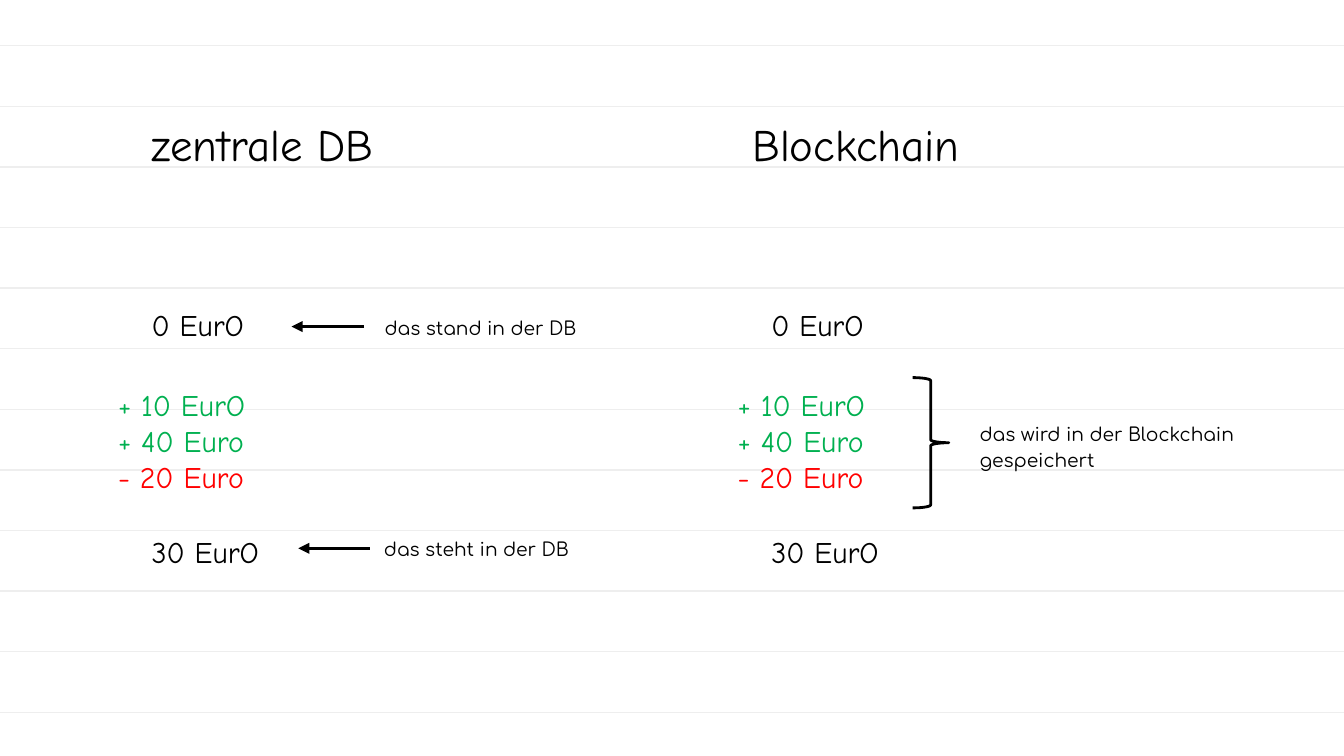
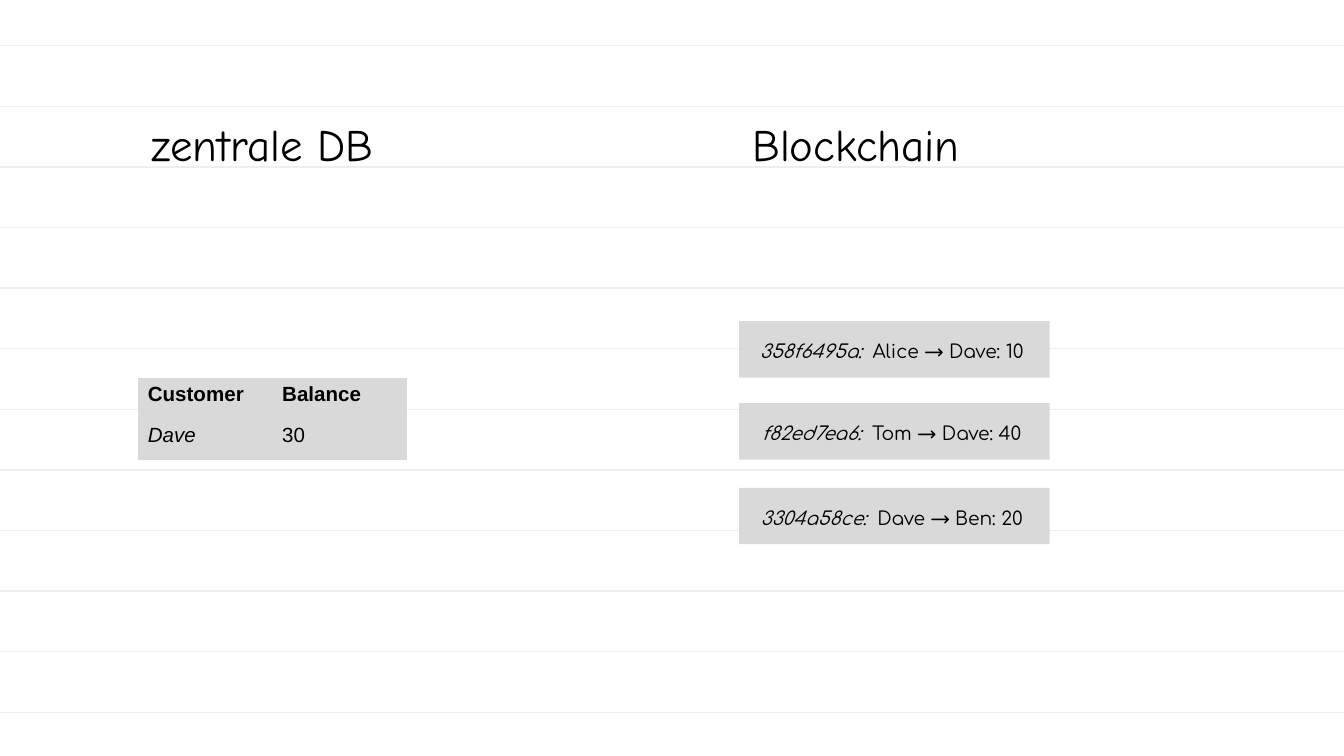
import pptx
import pptx.dml.color
import pptx.enum.shapes
import pptx.enum.text
import pptx.util
from pptx.oxml.ns import qn
from lxml import etree

BLACK, GREEN, RED, RULE, GRAY = "000000", "00B050", "FF0000", "EEEEEE", "D9D9D9"
HAND, NOTE, TABLE_FONT = "Comic Neue", "Comfortaa", "Arial"

WIDTH = 10
HEIGHT = WIDTH * 9 / 16
RULE_COUNT, FIRST_RULE, LAST_RULE = 12, 0.34, 5.3
LEFT, RIGHT = 1.03, 5.5
BOX_W, BOX_H = 3.19, 0.8
INSET = 0.1

HEADINGS = ["zentrale DB", "Blockchain"]

# Account history, shown once per column: (indent, top, [(text, colour)])
ACCOUNT_LEFTS = [LEFT, 5.64]
ACCOUNT = [
    (0, 1.85, [("0 EurO", BLACK)]),
    (-0.25, 2.98, [("+ 10 EurO", GREEN), ("+ 40 Euro", GREEN), ("- 20 Euro", RED)]),
    (0, 3.54, [("30 EurO", BLACK)]),
]
# (text, note left, note top, arrow start, arrow end)
DB_NOTES = [
    ("das steht in der DB", 2.73, 3.88, 2.75, 2.22),
    ("das stand in der DB", 2.76, 2.23, 2.71, 2.17),
]
CHAIN_NOTE = "das wird in der Blockchain gespeichert"

BALANCES = [["Customer", "Balance"], ["Dave", "30"]]
# (hash, sender, receiver and amount, top)
TRANSACTIONS = [
    ("358f6495a:  ", "Alice ", " Dave: 10 ", 2.39),
    ("f82ed7ea6:  ", "Tom ", " Dave: 40 ", 3),
    ("3304a58ce:  ", "Dave ", " Ben: 20 ", 3.63),
]

ALIGN = pptx.enum.text.PP_ALIGN
ANCHOR = pptx.enum.text.MSO_ANCHOR
SHAPE = pptx.enum.shapes.MSO_SHAPE


def rgb(color):
    return pptx.dml.color.RGBColor.from_string(color)


def inches(*lengths):
    return [pptx.util.Inches(n) for n in lengths]


def style_run(r, font, size, color=BLACK, bold=False, italic=False):
    r.font.name, r.font.size = font, pptx.util.Pt(size)
    r.font.bold, r.font.italic = bold, italic
    r.font.color.rgb = rgb(color)


def set_frame(tf, anchor):
    tf.word_wrap = True
    tf.auto_size = pptx.enum.text.MSO_AUTO_SIZE.NONE
    tf.vertical_anchor = anchor
    tf.margin_left, tf.margin_top, tf.margin_right, tf.margin_bottom = inches(*[INSET] * 4)


def set_note_paragraph(p, align):
    p.alignment, p.line_spacing, p.space_after = align, 1.15, pptx.util.Pt(16)


def write_lines(sp, lines, size):
    """Fill a box with handwritten (text, colour) lines, standing on its bottom edge."""
    tf = sp.text_frame
    set_frame(tf, ANCHOR.BOTTOM)
    tf.text = "\n".join(text for text, _ in lines)
    for p, (_, color) in zip(tf.paragraphs, lines):
        p.alignment = ALIGN.LEFT
        style_run(p.runs[0], HAND, size, color)


def add_line(slide, x1, y1, x2, y2, color, width, arrow=False):
    line = slide.shapes.add_connector(
        pptx.enum.shapes.MSO_CONNECTOR.STRAIGHT, *inches(x1, y1, x2, y2))
    line.line.color.rgb = rgb(color)
    line.line.width = pptx.util.Pt(width)
    sp_pr = line.element.spPr
    if arrow:
        etree.SubElement(sp_pr.find(qn("a:ln")), qn("a:tailEnd"), type="triangle")
    etree.SubElement(sp_pr, qn("a:effectLst"))
    return line


def add_note(slide, text, left, top, width, align):
    tf = slide.shapes.add_textbox(*inches(left, top, width, 0.55)).text_frame
    set_frame(tf, ANCHOR.TOP)
    tf.text = text
    set_note_paragraph(tf.paragraphs[0], align)
    style_run(tf.paragraphs[0].runs[0], NOTE, 10)


def add_slide(prs, layout):
    slide = prs.slides.add_slide(layout)
    title = slide.shapes.title
    title.left, title.top, title.width, title.height = inches(LEFT, 0.57, BOX_W, BOX_H)
    second = slide.shapes.add_textbox(*inches(RIGHT, 0.57, BOX_W, BOX_H))
    for sp, heading in zip((title, second), HEADINGS):
        write_lines(sp, [(heading, BLACK)], 24)
    return slide


def rule_layout(slide):
    """Put the paper's ruled lines on the layout that all slides share."""
    pitch = (LAST_RULE - FIRST_RULE) / (RULE_COUNT - 1)
    for i in range(RULE_COUNT):
        y = FIRST_RULE + i * pitch
        line = add_line(slide, 0, y, WIDTH + 0.03, y, RULE, 0.75)
        slide.slide_layout.shapes.element.append(line.element)


def build_account(slide):
    for left in ACCOUNT_LEFTS:
        for indent, top, lines in ACCOUNT:
            box = slide.shapes.add_textbox(*inches(left + indent, top, BOX_W, BOX_H))
            write_lines(box, lines, 16)
    for text, left, top, start, end in DB_NOTES:
        add_line(slide, start, top + 0.2, end, top + 0.2, BLACK, 1.5, arrow=True)
        add_note(slide, text, left, top, 1.63, ALIGN.CENTER)
    add_note(slide, CHAIN_NOTE, 7.19, 3.02, 2.15, ALIGN.LEFT)
    brace = slide.shapes.add_shape(SHAPE.RIGHT_BRACE, *inches(6.79, 2.81, 0.27, 0.97))
    brace.shadow.inherit = False
    brace.fill.background()
    brace.line.color.rgb = rgb(BLACK)
    brace.line.width = pptx.util.Pt(1.5)


def clear_borders(cell):
    tc_pr = cell._tc.get_or_add_tcPr()
    for i, side in enumerate(("lnL", "lnR", "lnT", "lnB")):
        border = etree.Element(qn(f"a:{side}"))
        etree.SubElement(border, qn("a:noFill"))
        tc_pr.insert(i, border)


def build_balances(slide):
    rows, cols = len(BALANCES), len(BALANCES[0])
    table = slide.shapes.add_table(rows, cols, *inches(LEFT, 2.81, 2, 0.61)).table
    for i, row in enumerate(BALANCES):
        for j, text in enumerate(row):
            cell = table.cell(i, j)
            cell.fill.solid()
            cell.fill.fore_color.rgb = rgb(GRAY)
            clear_borders(cell)
            cell.margin_left, cell.margin_right = inches(0.07, 0.07)
            cell.margin_top, cell.margin_bottom = inches(0.04, 0.04)
            cell.text_frame.text = text
            style_run(cell.text_frame.paragraphs[0].runs[0], TABLE_FONT, 11,
                      bold=i == 0, italic=i > 0 and j == 0)


def build_transactions(slide):
    for tx_hash, sender, receiver, top in TRANSACTIONS:
        sp = slide.shapes.add_shape(SHAPE.RECTANGLE, *inches(RIGHT, top, 2.31, 0.42))
        sp.shadow.inherit = False
        sp.fill.solid()
        sp.fill.fore_color.rgb = rgb(GRAY)
        sp.line.fill.background()
        set_frame(sp.text_frame, ANCHOR.TOP)
        p = sp.text_frame.paragraphs[0]
        set_note_paragraph(p, ALIGN.CENTER)
        for text in (tx_hash, sender, "→", receiver):
            r = p.add_run()
            r.text = text
            style_run(r, NOTE, 11 if text == "→" else 10, italic=text == tx_hash)


def main():
    prs = pptx.Presentation()
    prs.slide_width, prs.slide_height = inches(WIDTH, HEIGHT)
    layout = prs.slide_layouts.get_by_name("Title Only")
    account = add_slide(prs, layout)
    rule_layout(account)
    build_account(account)
    ledger = add_slide(prs, layout)
    build_balances(ledger)
    build_transactions(ledger)
    prs.save("out.pptx")


if __name__ == "__main__":
    main()
